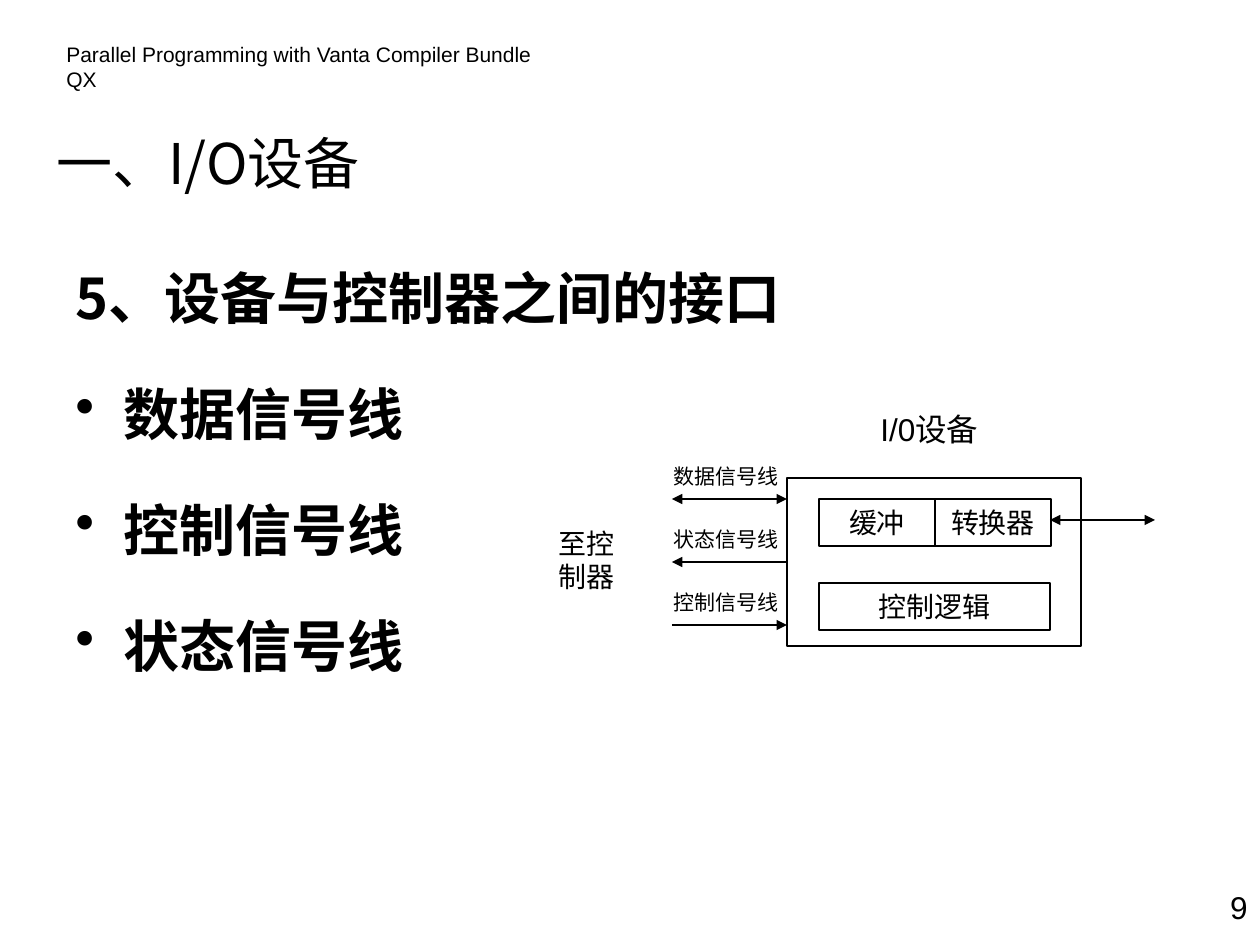
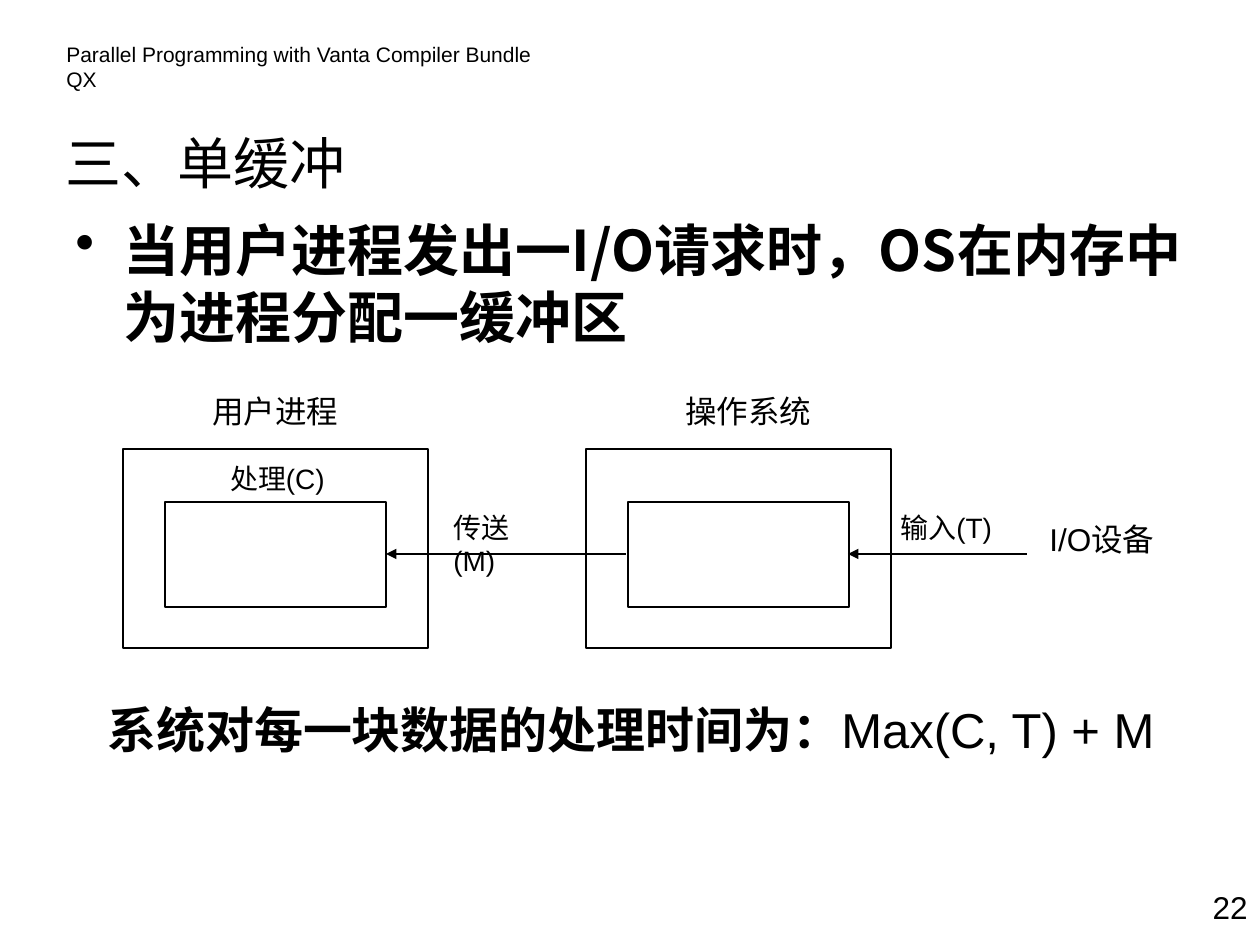
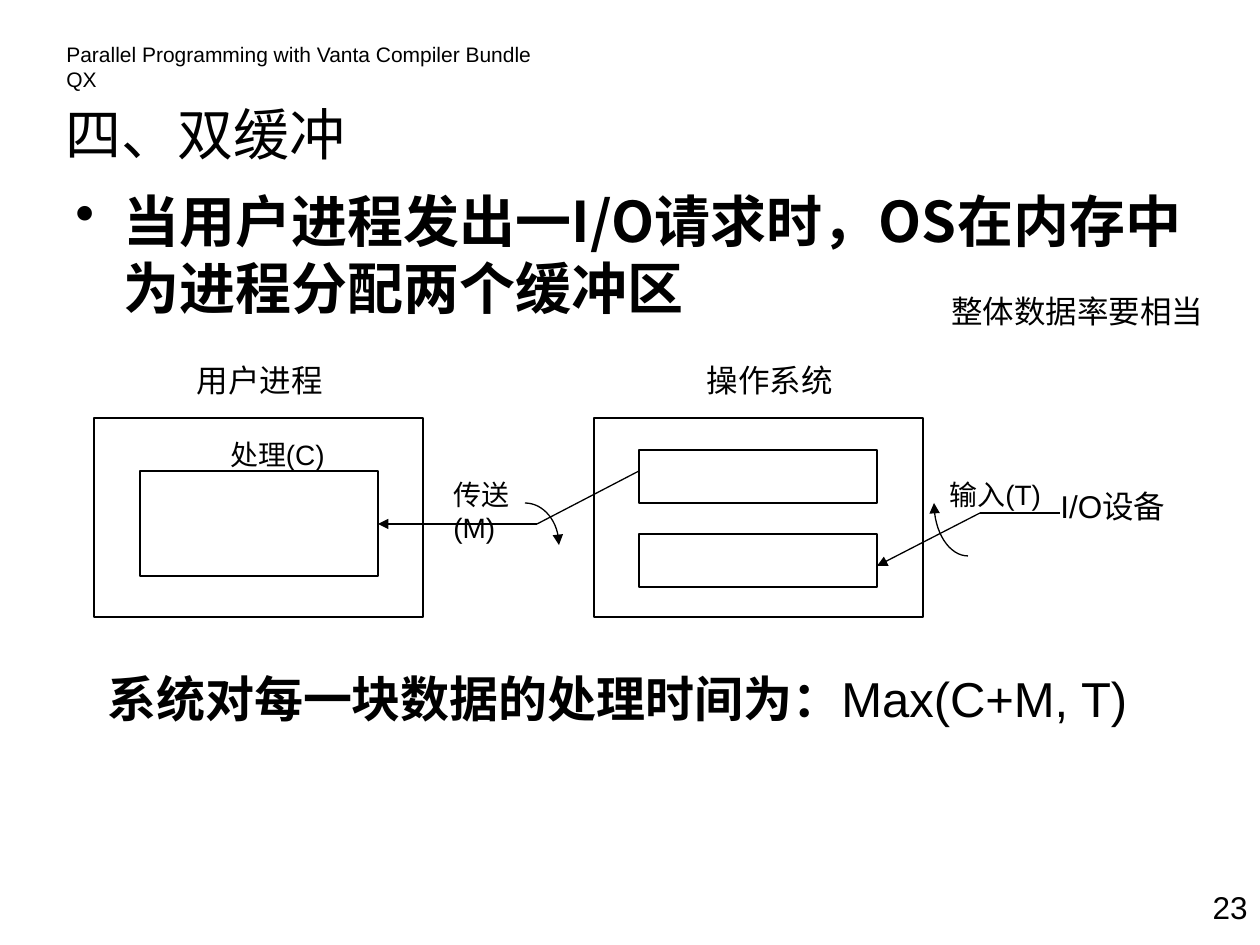
import math

from lxml import etree
from pptx import Presentation
from pptx.dml.color import RGBColor
from pptx.enum.shapes import MSO_CONNECTOR, MSO_SHAPE
from pptx.enum.text import MSO_ANCHOR, MSO_AUTO_SIZE, PP_ALIGN
from pptx.oxml.ns import qn
from pptx.util import Emu, Pt

EMU_PER_PX = 914400 / 126
BLACK = RGBColor(0x00, 0x00, 0x00)
LABEL_FONT = "Arial"
HEADING_FONT = "Noto Sans CJK SC"
LINE_WIDTH = Pt(0.75)

LEFT, CENTER, RIGHT = PP_ALIGN.LEFT, PP_ALIGN.CENTER, PP_ALIGN.RIGHT
TOP, MIDDLE = MSO_ANCHOR.TOP, MSO_ANCHOR.MIDDLE
GROW, FIXED = MSO_AUTO_SIZE.SHAPE_TO_FIT_TEXT, MSO_AUTO_SIZE.NONE
RECTANGLE, STRAIGHT = MSO_SHAPE.RECTANGLE, MSO_CONNECTOR.STRAIGHT

HEADER = "Parallel Programming with Vanta Compiler Bundle QX"
HANGING_INDENT = 48
ARC_STEPS = 16
SIGNAL_PITCH = 63


def px(length):
    return Emu(round(length * EMU_PER_PX))


def style_paragraph(para, size, font_name=LABEL_FONT, bold=False, align=LEFT, before=0):
    para.alignment = align
    para.space_before = Pt(before)
    font = para.font
    font.size = Pt(size)
    font.bold = bold
    font.color.rgb = BLACK
    font.name = font_name
    defaults = para._p.pPr.find(qn("a:defRPr"))
    etree.SubElement(defaults, qn("a:ea"), typeface=font_name)


def set_hanging(para, bullet):
    properties = para._p.get_or_add_pPr()
    properties.set("marL", str(px(HANGING_INDENT)))
    properties.set("indent", str(-px(HANGING_INDENT)))
    if bullet:
        mark = etree.Element(qn("a:buChar"), char="•")
        properties.find(qn("a:defRPr")).addprevious(mark)


def prepare_frame(frame, anchor=TOP, wrap=True, fit=GROW):
    frame.auto_size = fit
    frame.word_wrap = wrap
    frame.vertical_anchor = anchor


def add_frame(page, bounds, **layout):
    frame = page.shapes.add_textbox(*map(px, bounds)).text_frame
    prepare_frame(frame, **layout)
    return frame


def add_label(page, bounds, text, size, align=LEFT, before=0, wrap=True):
    para = add_frame(page, bounds, wrap=wrap).paragraphs[0]
    para.text = text
    style_paragraph(para, size, align=align, before=before)


def add_title(page, left, top, text):
    frame = add_frame(page, (left, top, 714, 94), anchor=MIDDLE, fit=FIXED)
    frame.text = text
    style_paragraph(frame.paragraphs[0], 32, HEADING_FONT)


def add_body(page, bounds, items, before):
    """Write (text, has_bullet) items as bold hanging paragraphs."""
    frame = add_frame(page, bounds, fit=FIXED)
    frame.text = "\n".join(text for text, _ in items)
    for para, (_, bullet) in zip(frame.paragraphs, items):
        style_paragraph(para, 32, HEADING_FONT, bold=True, before=before)
        set_hanging(para, bullet)


def set_line(shape, start_arrow=False, end_arrow=False):
    line = shape.line
    line.color.rgb = BLACK
    line.width = LINE_WIDTH
    outline = shape._element.spPr.find(qn("a:ln"))
    for tag, wanted in (("a:headEnd", start_arrow), ("a:tailEnd", end_arrow)):
        if wanted:
            etree.SubElement(outline, qn(tag), type="triangle")


def add_rectangle(page, bounds, text=None):
    shape = page.shapes.add_shape(RECTANGLE, *map(px, bounds))
    shape.shadow.inherit = False
    shape.fill.background()
    set_line(shape)
    if text:
        frame = shape.text_frame
        prepare_frame(frame)
        frame.text = text
        style_paragraph(frame.paragraphs[0], 16, align=CENTER)


def add_line(page, start, end, start_arrow=False, end_arrow=False):
    line = page.shapes.add_connector(STRAIGHT, *map(px, start + end))
    etree.SubElement(line._element.spPr, qn("a:effectLst"))
    set_line(line, start_arrow, end_arrow)


def add_arc_arrow(page, start, end):
    """Draw a quarter ellipse that leaves start horizontally."""
    width, height = end[0] - start[0], end[1] - start[1]
    angles = [math.pi / 2 * step / ARC_STEPS for step in range(1, ARC_STEPS + 1)]
    points = [
        (px(start[0] + width * math.sin(angle)), px(start[1] + height * (1 - math.cos(angle))))
        for angle in angles
    ]
    builder = page.shapes.build_freeform(px(start[0]), px(start[1]))
    builder.add_line_segments(points, close=False)
    arc = builder.convert_to_shape()
    arc.shadow.inherit = False
    arc.fill.background()
    set_line(arc, end_arrow=True)


def add_page(deck, number):
    page = deck.slides.add_slide(deck.slide_layouts[6])
    add_label(page, (54, 35, 517, 38), HEADER, 12)
    add_label(page, (1176, 882, 84, 50), str(number), 18, align=RIGHT, before=11.2)
    return page


def add_formula(page, top, formula):
    para = add_frame(page, (95, top, 1111, 72)).paragraphs[0]
    style_paragraph(para, 28, before=17.5)
    for text, bold in (("系统对每一块数据的处理时间为：", True), (formula, False)):
        span = para.add_run()
        span.text = text
        span.font.bold = bold


def add_buffer_page(deck, number, title, title_top, request, formula, frame_top):
    page = add_page(deck, number)
    add_title(page, 53, title_top, title)
    add_body(page, (63, title_top + 94, 1171, 210), [(request, True)], 8)
    add_formula(page, frame_top + 244, formula)
    return page


def add_memory_frame(page, left, top, width, name, name_left, name_width):
    add_rectangle(page, (left, top, width, 199))
    add_label(page, (name_left, top - 63, name_width, 50), name, 18, CENTER, 11.2)


def add_transfer_labels(page, top, input_left, processing_top):
    add_label(page, (441, top, 118, 81), "传送(M)", 16, before=10)
    add_label(page, (input_left, top, 120, 81), "输入(T)", 16, before=10)
    add_label(page, (203, processing_top, 149, 47), "处理(C)", 16, CENTER, 10)


def build_interface_page(deck):
    page = add_page(deck, 9)
    add_title(page, 44, 115, "一、I/O设备")
    signals = ["数据信号线", "控制信号线", "状态信号线"]
    items = [("5、设备与控制器之间的接口", False)] + [(signal, True) for signal in signals]
    add_body(page, (63, 257, 851, 577), items, 28)

    add_rectangle(page, (787, 478, 294, 168))
    add_rectangle(page, (819, 499, 116, 47), "缓冲")
    add_rectangle(page, (935, 499, 116, 47), "转换器")
    add_rectangle(page, (819, 583, 231, 47), "控制逻辑")
    add_label(page, (840, 404, 179, 50), "I/0设备", 18, CENTER, 11.2)
    add_label(page, (546, 520, 95, 81), "至控制器", 16, before=10)

    device_side, controller_side = 787, 672
    wires = [
        ("数据信号线", device_side, controller_side, True),
        ("状态信号线", device_side, controller_side, False),
        ("控制信号线", controller_side, device_side, False),
    ]
    for row, (name, start, end, both_ways) in enumerate(wires):
        offset = row * SIGNAL_PITCH
        add_label(page, (661, 457 + offset, 158, 38), name, 12, before=7.5)
        add_line(page, (start, 499 + offset), (end, 499 + offset), both_ways, True)
    add_line(page, (1050, 520), (1155, 520), True, True)


def build_single_buffer_page(deck):
    top = 449
    page = add_buffer_page(
        deck, 22, "三、单缓冲", 115,
        "当用户进程发出一I/O请求时，OS在内存中为进程分配一缓冲区",
        "Max(C, T) + M", top)
    for left, name, name_left in ((123, "用户进程", 186), (586, "操作系统", 659)):
        add_memory_frame(page, left, top, 305, name, name_left, 179)
        add_rectangle(page, (left + 42, top + 53, 221, 105))
    for start, end in ((1027, 848), (626, 386)):
        add_line(page, (start, 554), (end, 554), end_arrow=True)
    add_label(page, (1037, 514, 136, 88), "I/O设备", 18, before=11.2)
    add_transfer_labels(page, 504, 888, 455)


def build_double_buffer_page(deck):
    top = 418
    page = add_buffer_page(
        deck, 23, "四、双缓冲", 86,
        "当用户进程发出一I/O请求时，OS在内存中为进程分配两个缓冲区",
        "Max(C+M, T)", top)
    add_memory_frame(page, 94, top, 329, "用户进程", 163, 193)
    add_memory_frame(page, 594, top, 329, "操作系统", 673, 193)
    add_rectangle(page, (140, top + 53, 238, 105))
    for buffer_top in (450, 534):
        add_rectangle(page, (639, buffer_top, 238, 53))

    transfer_bend, input_bend = (537, 524), (980, 513)
    add_line(page, (639, 471), transfer_bend)
    add_line(page, transfer_bend, (378, 524), end_arrow=True)
    add_line(page, input_bend, (1060, 513))
    add_line(page, input_bend, (877, 566), end_arrow=True)
    add_arc_arrow(page, (525, 503), (559, 545))
    add_arc_arrow(page, (968, 556), (934, 503))

    add_label(page, (1048, 481, 147, 50), "I/O设备", 18, before=11.2)
    add_transfer_labels(page, 471, 937, 431)
    add_label(page, (939, 286, 277, 50), "整体数据率要相当", 18, wrap=False)


def main():
    deck = Presentation()
    deck.slide_width, deck.slide_height = px(1260), px(945)
    build_interface_page(deck)
    build_single_buffer_page(deck)
    build_double_buffer_page(deck)
    deck.save("out.pptx")


if __name__ == "__main__":
    main()
